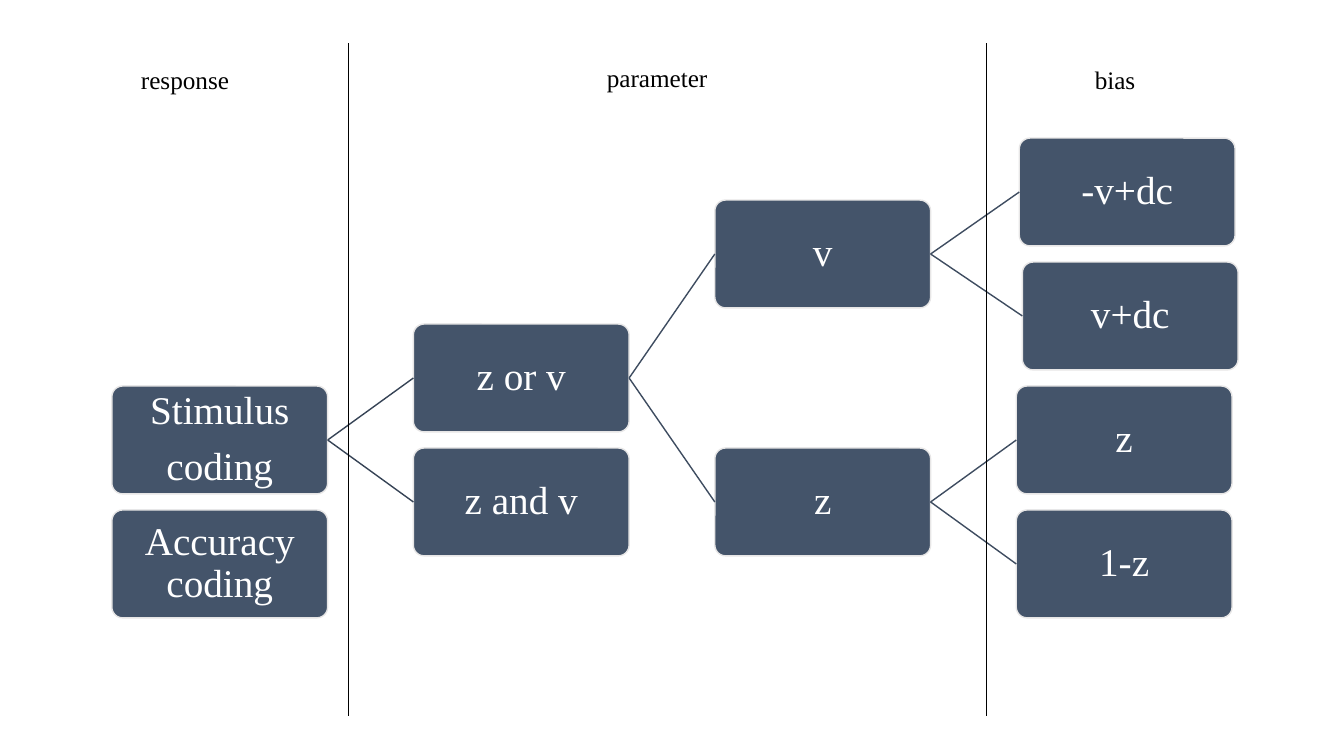
from pptx import Presentation
from pptx import util as u
from pptx.dml import color
from pptx.enum import shapes, text
from pptx.oxml import ns
from lxml import etree

LEFT, TOP = 1.11, 1.37
COLUMN_STEP, ROW_STEP = 2.99, 1.23
BOX_WIDTH, BOX_HEIGHT = 2.14, 1.07


def rgb(value):
    return color.RGBColor.from_string(value)


class TreeSlide:
    font_name = "Times New Roman"
    fill = "44546A"
    outline = "E7E6E6"
    ink = "000000"

    def __init__(self, presentation):
        self.slide = presentation.slides.add_slide(presentation.slide_layouts[6])

    def format_font(self, paragraph, size, colour):
        paragraph.font.name = self.font_name
        paragraph.font.size = u.Pt(size)
        paragraph.font.color.rgb = rgb(colour)

    def box(self, lines, column, row, shift=0):
        shape = self.slide.shapes.add_shape(
            shapes.MSO_SHAPE.ROUNDED_RECTANGLE,
            u.Inches(LEFT + column * COLUMN_STEP + shift),
            u.Inches(TOP + row * ROW_STEP),
            u.Inches(BOX_WIDTH), u.Inches(BOX_HEIGHT))
        shape.adjustments[0] = 0.1
        shape.shadow.inherit = False
        shape.fill.solid()
        shape.fill.fore_color.rgb = rgb(self.fill)
        shape.line.color.rgb = rgb(self.outline)
        shape.line.width = u.Pt(1)
        frame = shape.text_frame
        frame.word_wrap = True
        frame.vertical_anchor = text.MSO_ANCHOR.MIDDLE
        frame.margin_left = frame.margin_right = u.Inches(0.02)
        frame.margin_top = frame.margin_bottom = u.Inches(0.02)
        for index, line in enumerate(lines):
            paragraph = frame.add_paragraph() if index else frame.paragraphs[0]
            paragraph.text = line
            paragraph.alignment = text.PP_ALIGN.CENTER
            paragraph.line_spacing = 0.9
            if index:
                paragraph.space_before = u.Pt(10)
            self.format_font(paragraph, 28, "FFFFFF")
        return shape

    def line(self, start, end, colour, width):
        connector = self.slide.shapes.add_connector(
            shapes.MSO_CONNECTOR.STRAIGHT,
            *(u.Inches(value) for value in (*start, *end)))
        connector.line.color.rgb = rgb(colour)
        connector.line.width = u.Pt(width)
        etree.SubElement(connector._element.spPr, ns.qn("a:effectLst"))
        return connector

    def branch(self, parent, child, colour):
        connector = self.line((0, 0), (1, 1), colour, 1)
        connector.begin_connect(parent, 3)
        connector.end_connect(child, 1)

    def heading(self, words, left, top):
        label = self.slide.shapes.add_textbox(
            u.Inches(left), u.Inches(top), u.Inches(1.66), u.Inches(0.4))
        label.text_frame.word_wrap = True
        paragraph = label.text_frame.paragraphs[0]
        paragraph.text = words
        self.format_font(paragraph, 18, self.ink)


def main():
    presentation = Presentation()
    presentation.slide_width = u.Inches(13.33)
    presentation.slide_height = u.Inches(7.5)
    tree = TreeSlide(presentation)

    stimulus = tree.box(["Stimulus", "coding"], 0, 2)
    tree.box(["Accuracy coding"], 0, 3)
    either = tree.box(["z or v"], 1, 1.5)
    both = tree.box(["z and v"], 1, 2.5)
    drift = tree.box(["v"], 2, 0.5)
    start_point = tree.box(["z"], 2, 2.5)
    drift_biases = [tree.box(["-v+dc"], 3, 0, 0.03), tree.box(["v+dc"], 3, 1, 0.06)]
    start_biases = [tree.box(["z"], 3, 2), tree.box(["1-z"], 3, 3)]

    for parent, children, colour in (
            (stimulus, [either, both], "364355"),
            (either, [drift, start_point], "3E4C60"),
            (drift, drift_biases, "3E4C60"),
            (start_point, start_biases, "3E4C60")):
        for child in children:
            tree.branch(parent, child, colour)

    for words, left, top in (("response", 1.3, 0.59), ("parameter", 5.92, 0.57),
                             ("bias", 10.76, 0.59)):
        tree.heading(words, left, top)
    for position in (3.46, 9.78):
        tree.line((position, 0.43), (position, 7.1), tree.ink, 0.5)

    presentation.save("out.pptx")


if __name__ == "__main__":
    main()
